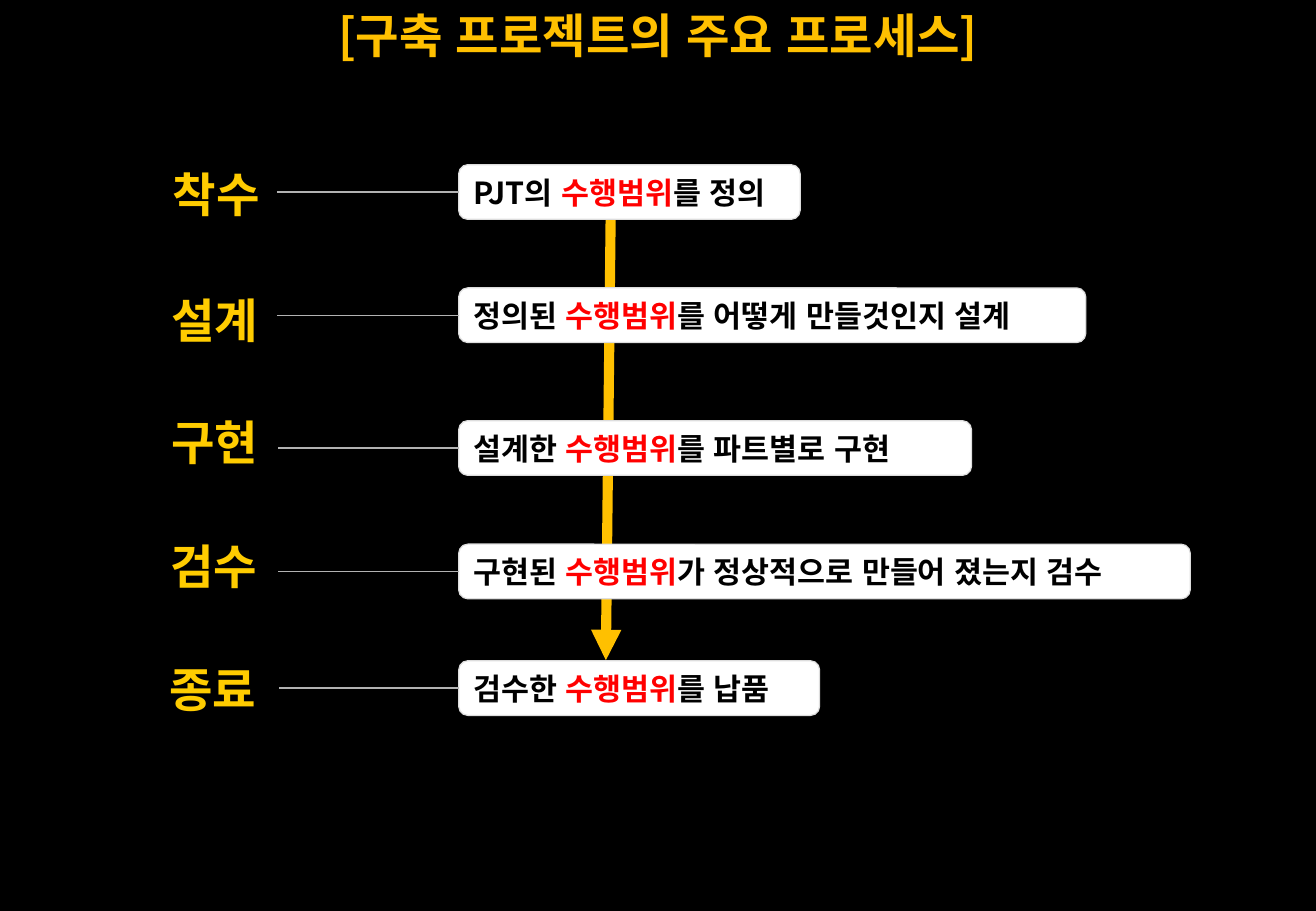
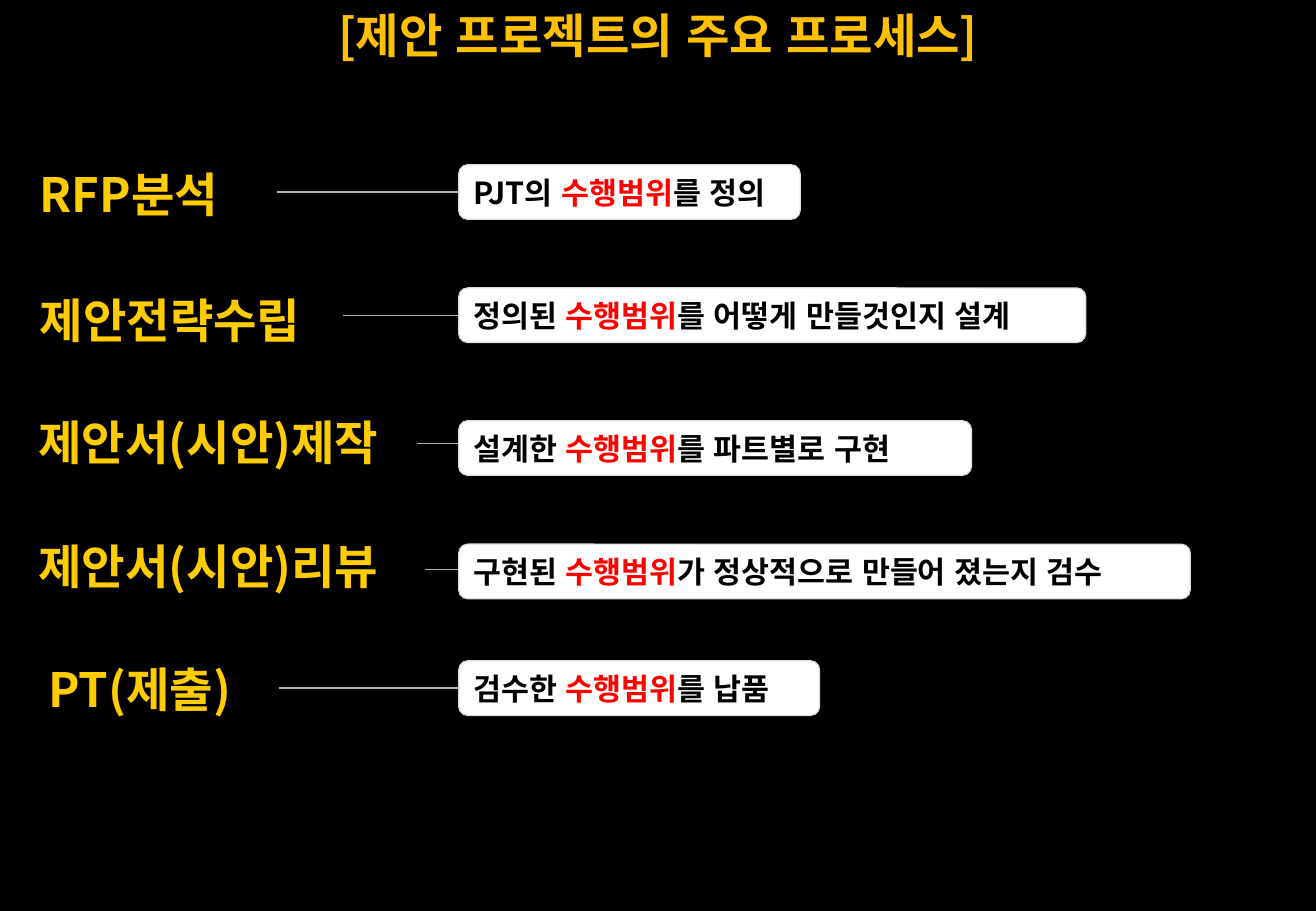
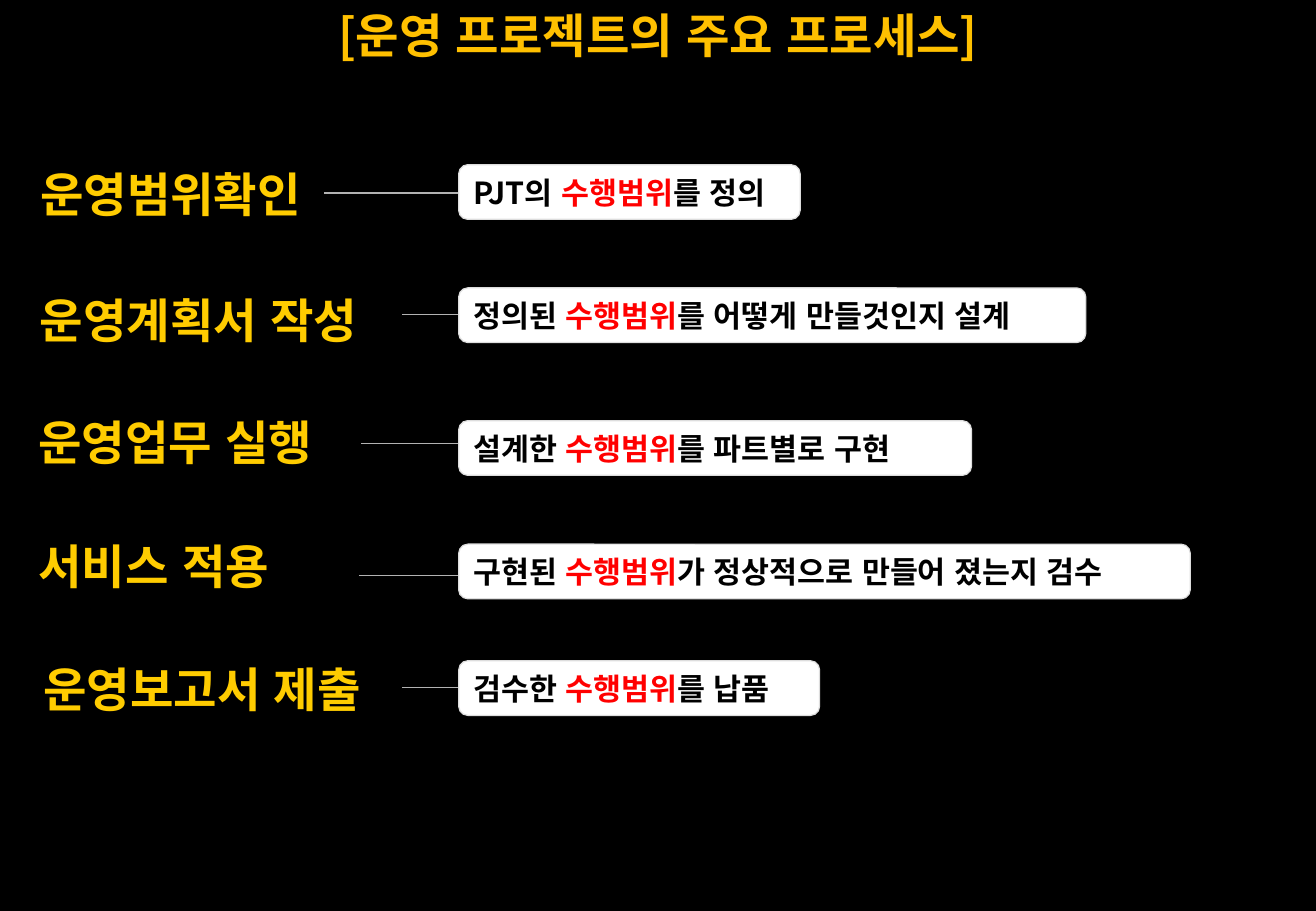
from lxml import etree
from pptx import Presentation
from pptx import util as u
from pptx.dml import color
from pptx.enum import lang, shapes, text
from pptx.oxml import ns

W, H = u.Inches(10.83), u.Inches(7.5)
FONT = "Noto Sans CJK KR"
BLACK, WHITE, RED = "000000", "FFFFFF", "FF0000"
AMBER, YELLOW, GREY, EDGE = "FFC000", "FFCC00", "B2B2B2", "DDDDDD"

CARD_LEFT, CARD_HEIGHT = 34.86, 6
LABEL_TOPS, LABEL_HEIGHT = (19.8, 33.6, 47.07, 60.67, 74.13), 5.2
KEYWORD = "수행범위"

CARDS = [
    (18.08, 25.95, "PJT의 ", "를 정의"),
    (31.6, 47.65, "정의된 ", "를 어떻게 만들것인지 설계"),
    (46.18, 38.97, "설계한 ", "를 파트별로 구현"),
    (59.73, 55.59, "구현된 ", "가 정상적으로 만들어 졌는지 검수"),
    (72.53, 27.42, "검수한 ", "를 납품"),
]

BUILD_STEPS = [("착수", 8.86, 21.05), ("설계", 8.77, 21.05), ("구현", 8.77, 21.14),
               ("검수", 8.68, 21.14), ("종료", 8.59, 21.24)]
PROPOSAL_STEPS = [("RFP분석", 2.12, 21.05), ("제안전략수립", 2.12, 26.04),
                  ("제안서(시안)제작", 2.03, 31.67, (40.44, 48.67)),
                  ("제안서(시안)리뷰", 2.03, 32.32, (37.58, 62.53)),
                  ("PT(제출)", 2.77, 21.24)]
OPERATION_STEPS = [("운영범위확인", 2.16, 24.65, (38.41, 21.2)),
                   ("운영계획서 작성", 2.12, 30.56, (39.34, 34.53)),
                   ("운영업무 실행", 2.03, 27.47, (36.29, 48.67)),
                   ("서비스 적용", 2.03, 27.28, (39.15, 63.15)),
                   ("운영보고서 제출", 2.4, 30.56, (39.43, 75.43))]


def rgb(value):
    """Turn a hex string into a colour."""
    return color.RGBColor.from_string(value)


def col(share):
    """Length of a percentage of the slide's width."""
    return u.Emu(round(W * share / 100))


def row(share):
    """Length of a percentage of the slide's height."""
    return u.Emu(round(H * share / 100))


def style(r, size, ink):
    """Format a run in the shared bold Korean font."""
    r.font.size, r.font.bold, r.font.name = u.Pt(size), True, FONT
    r.font.language_id = lang.MSO_LANGUAGE_ID.KOREAN
    r.font.color.rgb = rgb(ink)
    etree.SubElement(r.font._element, ns.qn("a:ea"), typeface=FONT)


def add_title(s, words):
    """Place the slide title across the top edge."""
    sp = s.shapes.title
    sp.left, sp.top, sp.width, sp.height = 0, 0, W, row(16.13)
    tf = sp.text_frame
    tf.text = words
    tf.word_wrap, tf.auto_size = True, text.MSO_AUTO_SIZE.NONE
    tf.vertical_anchor = text.MSO_ANCHOR.TOP
    p = tf.paragraphs[0]
    p.alignment = text.PP_ALIGN.CENTER
    style(p.runs[0], 28, AMBER)


def add_label(s, words, left, top, width, align):
    """Write the name of a step."""
    sp = s.shapes.add_textbox(col(left), row(top), col(width), row(LABEL_HEIGHT))
    tf = sp.text_frame
    tf.text = words
    tf.word_wrap, tf.vertical_anchor = True, text.MSO_ANCHOR.MIDDLE
    p = tf.paragraphs[0]
    p.alignment, p.line_spacing = align, 0.5
    style(p.runs[0], 28, YELLOW)


def add_card(s, top, width, before, after):
    """Draw a white card with the keyword in red."""
    sp = s.shapes.add_shape(shapes.MSO_SHAPE.ROUNDED_RECTANGLE, col(CARD_LEFT), row(top),
                            col(width), row(CARD_HEIGHT))
    sp.shadow.inherit = False
    sp.fill.solid()
    sp.fill.fore_color.rgb = rgb(WHITE)
    sp.line.color.rgb, sp.line.width = rgb(EDGE), u.Pt(0.75)
    tf = sp.text_frame
    tf.word_wrap, tf.vertical_anchor = True, text.MSO_ANCHOR.MIDDLE
    p = tf.paragraphs[0]
    p.alignment = text.PP_ALIGN.LEFT
    for words, ink in ((before, BLACK), (KEYWORD, RED), (after, BLACK)):
        r = p.add_run()
        r.text = words
        style(r, 18, ink)
    return sp


def add_line(s, start, end, ink, width):
    """Draw a straight line without a shadow."""
    line = s.shapes.add_connector(shapes.MSO_CONNECTOR.STRAIGHT, *start, *end)
    line.line.color.rgb, line.line.width = rgb(ink), u.Pt(width)
    etree.SubElement(line._element.spPr, ns.qn("a:effectLst"))
    return line


def add_flow_arrow(s):
    """Draw the thick arrow that runs behind the cards."""
    arrow = add_line(s, (col(46.41), row(22.93)), (col(46.04), row(72.47)), AMBER, 6)
    etree.SubElement(arrow.line._get_or_add_ln(), ns.qn("a:tailEnd"), type="triangle")


def add_step_card(s, card, start, behind=None):
    """Draw a card with a line that joins its side or runs on behind it."""
    if behind:
        end, level = behind
        add_line(s, (col(start), row(level)), (col(end), row(level)), GREY, 0.75)
    sp = add_card(s, *card)
    if not behind:
        middle = sp.top + sp.height // 2
        line = add_line(s, (col(start), middle), (sp.left, middle), GREY, 0.75)
        line.end_connect(sp, 1)


def add_process(prs, title, steps, label_width, align, flow=False):
    """Build a slide of labelled steps with their cards."""
    s = prs.slides.add_slide(prs.slide_layouts[5])
    add_title(s, title)
    if flow:
        add_flow_arrow(s)
    for (name, left, *link), top, card in zip(steps, LABEL_TOPS, CARDS):
        add_label(s, name, left, top, label_width, align)
        add_step_card(s, card, *link)


def main():
    """Build the three process slides."""
    prs = Presentation()
    prs.slide_width, prs.slide_height = W, H
    fill = prs.slide_master.background.fill
    fill.solid()
    fill.fore_color.rgb = rgb(BLACK)
    left, center = text.PP_ALIGN.LEFT, text.PP_ALIGN.CENTER
    add_process(prs, "[구축 프로젝트의 주요 프로세스]", BUILD_STEPS, 15.14, center, flow=True)
    add_process(prs, "[제안 프로젝트의 주요 프로세스]", PROPOSAL_STEPS, 33, left)
    add_process(prs, "[운영 프로젝트의 주요 프로세스]", OPERATION_STEPS, 33, left)
    prs.save("out.pptx")


if __name__ == "__main__":
    main()
